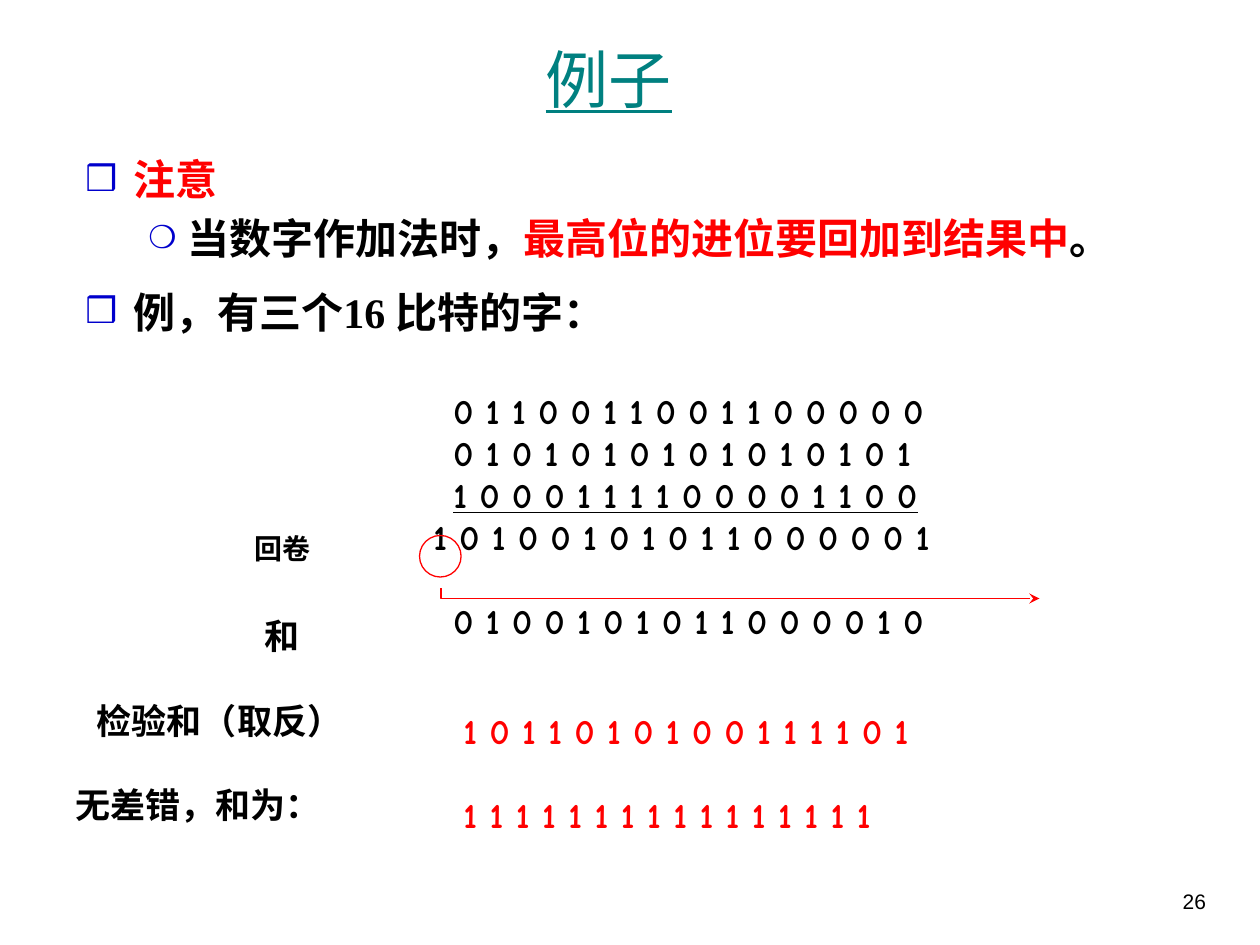
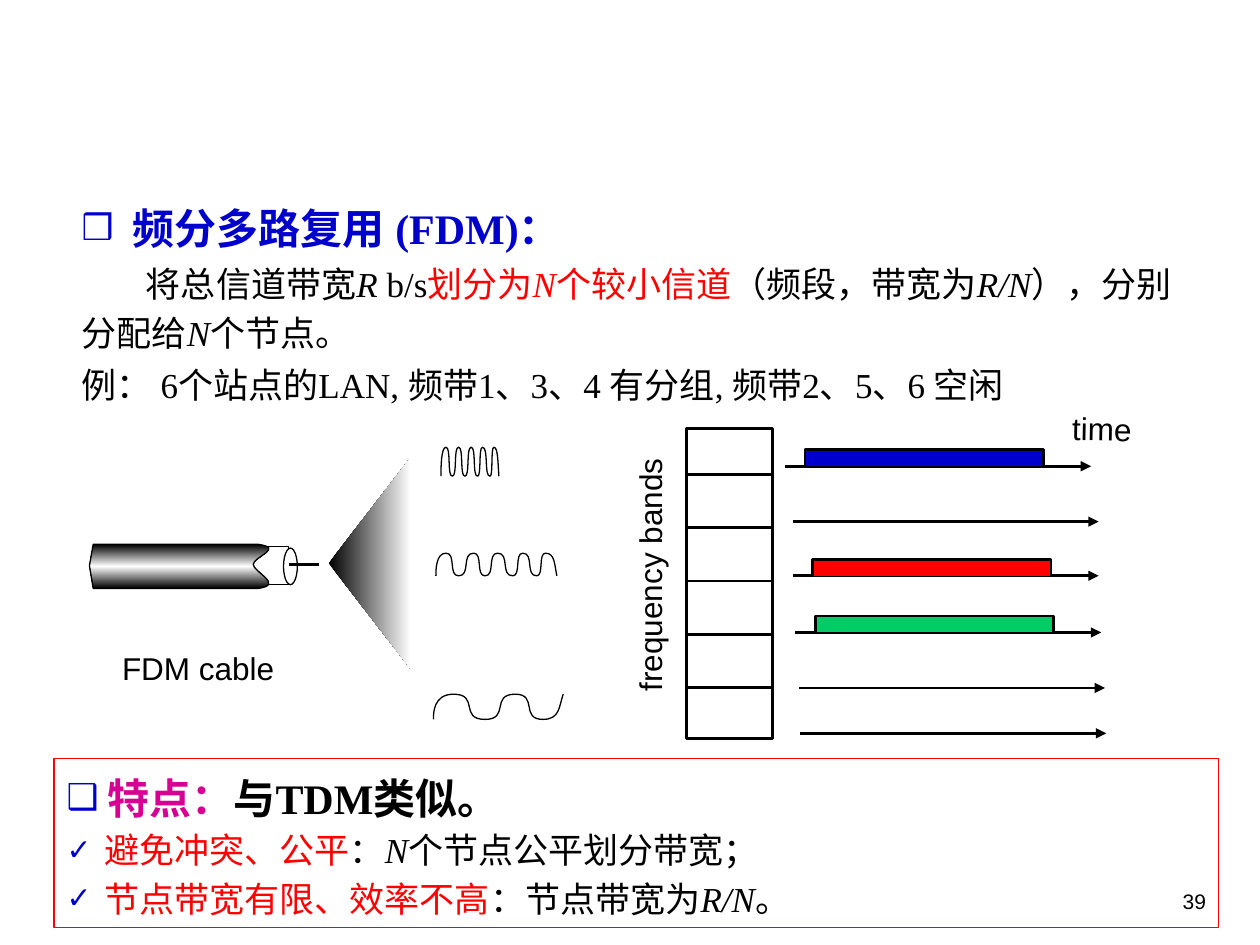
"""Builds two networking slides: checksum addition and frequency division."""
from dataclasses import dataclass
from typing import NamedTuple, Optional

from lxml import etree
from pptx import Presentation
from pptx import util as u
from pptx.dml.color import RGBColor
from pptx.enum import shapes, text
from pptx.oxml.ns import qn

COLOURS = {
    "ink": "000000", "paper": "FFFFFF", "title": "008080", "blue": "0000CC",
    "red": "FF0000", "green": "00CC66", "magenta": "D60093",
}
SERIF, SANS, COMIC, HAN = "Times New Roman", "Arial", "Comic Neue", "Noto Sans CJK SC"

deck = Presentation()
deck.slide_width, deck.slide_height = u.Inches(10), u.Inches(7.5)
CELL = deck.slide_width / 100


class Run(NamedTuple):
    words: str
    colour: str = "ink"
    italic: bool = False
    font: Optional[str] = None
    han: str = COMIC


class Area(NamedTuple):
    left: float
    top: float
    width: float
    height: float


@dataclass(frozen=True)
class Para:
    runs: tuple[Run, ...]
    size: float = 20
    font: str = COMIC
    bold: bool = False
    underline: bool = False
    margin: float = 0
    indent: float = 0
    before: float = 0
    lines: float = 1
    bullet: str = ""
    bullet_size: int = 85
    tabs: tuple[float, ...] = ()
    align: text.PP_ALIGN = text.PP_ALIGN.LEFT


@dataclass(frozen=True)
class Label:
    words: str
    area: Area
    size: float = 20
    font: str = COMIC
    bold: bool = True
    colour: str = "ink"
    wrap: bool = False
    turn: float = 0


class Lane(NamedTuple):
    left: float
    base: float
    packet: str = ""


class Wave(NamedTuple):
    crest: float
    trough: float
    knots: tuple[float, ...]


Point = tuple[float, float]


def grid(cells: float) -> u.Emu:
    """Turn grid cells into a length."""
    return u.Emu(round(cells * CELL))


def rgb(name: str) -> RGBColor:
    """Look up a named colour."""
    return RGBColor.from_string(COLOURS[name])


def add_bullet_and_tabs(paragraph, para: Para) -> None:
    """Put a blue bullet sign and tab stops on a paragraph."""
    props = paragraph._p.get_or_add_pPr()
    if para.bullet:
        colour = etree.SubElement(props, qn("a:buClr"))
        etree.SubElement(colour, qn("a:srgbClr"), val=COLOURS["blue"])
        etree.SubElement(props, qn("a:buSzPct"), val=str(para.bullet_size * 1000))
        etree.SubElement(props, qn("a:buFont"), typeface=SANS)
        etree.SubElement(props, qn("a:buChar"), char=para.bullet)
    if para.tabs:
        stops = etree.SubElement(props, qn("a:tabLst"))
        for stop in para.tabs:
            etree.SubElement(stops, qn("a:tab"), pos=str(grid(stop)), algn="l")


def write(frame, paras: list[Para]) -> None:
    """Fill a text frame run by run."""
    for number, para in enumerate(paras):
        paragraph = frame.add_paragraph() if number else frame.paragraphs[0]
        props = paragraph._p.get_or_add_pPr()
        props.set("marL", str(grid(para.margin)))
        props.set("indent", str(grid(para.indent)))
        add_bullet_and_tabs(paragraph, para)
        paragraph.alignment = para.align
        paragraph.line_spacing = para.lines
        paragraph.space_before = u.Pt(para.before if number else 0)
        for piece in para.runs:
            run = paragraph.add_run()
            run.text = piece.words
            font = run.font
            font.name, font.size = piece.font or para.font, u.Pt(para.size)
            font.bold, font.italic, font.underline = para.bold, piece.italic, para.underline
            font.color.rgb = rgb(piece.colour)
            east_asian = etree.Element(qn("a:ea"), typeface=piece.han)
            run._r.rPr.find(qn("a:latin")).addnext(east_asian)


def add_text(slide, area: Area, paras: list[Para], wrap: bool = True,
             anchor: text.MSO_ANCHOR = text.MSO_ANCHOR.TOP):
    """Add a text box on the grid."""
    box = slide.shapes.add_textbox(*map(grid, area))
    frame = box.text_frame
    frame.word_wrap, frame.vertical_anchor = wrap, anchor
    if not wrap:
        frame.auto_size = text.MSO_AUTO_SIZE.SHAPE_TO_FIT_TEXT
    write(frame, paras)
    return box


def add_label(slide, label: Label) -> None:
    """Add a one-line label."""
    para = Para((Run(label.words, label.colour),), label.size, label.font, label.bold)
    add_text(slide, label.area, [para], label.wrap).rotation = label.turn


def finish(shape, fill: str = "", line: str = "ink", weight: float = 0.75):
    """Set the fill and line of a shape; an empty name means none."""
    shape.shadow.inherit = False
    for part, colour in ((shape.fill, fill), (shape.line.fill, line)):
        if colour:
            part.solid()
            part.fore_color.rgb = rgb(colour)
        else:
            part.background()
    if line:
        shape.line.width = u.Pt(weight)
    return shape


def add_preset(slide, kind: shapes.MSO_SHAPE, area: Area, **style):
    """Add a preset shape on the grid."""
    return finish(slide.shapes.add_shape(kind, *map(grid, area)), **style)


def add_outline(slide, points: list[Point], close: bool = False, **style):
    """Add a freeform through grid points."""
    start, *rest = [(grid(x), grid(y)) for x, y in points]
    builder = slide.shapes.build_freeform(*start)
    builder.add_line_segments(rest, close=close)
    return finish(builder.convert_to_shape(), **style)


def bend(shape, straight: int = 0) -> None:
    """Turn each three segments after the straight ones into one cubic curve."""
    segments = list(shape._element.spPr.iter(qn("a:lnTo")))[straight:]
    for first in range(0, len(segments), 3):
        cubic = etree.Element(qn("a:cubicBezTo"))
        segments[first].addprevious(cubic)
        for segment in segments[first:first + 3]:
            cubic.append(segment[0])
            segment.getparent().remove(segment)


def add_arrowhead(shape, kind: str) -> None:
    """Put an arrowhead at the end of a line."""
    etree.SubElement(shape.line._get_or_add_ln(), qn("a:tailEnd"), type=kind)


def add_line(slide, start: Point, end: Point, weight: float = 1.5, head: str = "") -> None:
    """Add a straight black connector."""
    line = slide.shapes.add_connector(shapes.MSO_CONNECTOR.STRAIGHT, *map(grid, start + end))
    line.line.color.rgb, line.line.width = rgb("ink"), u.Pt(weight)
    if head:
        add_arrowhead(line, head)
    etree.SubElement(line._element.spPr, qn("a:effectLst"))


def shade(shape, stops: list[tuple[int, str]], angle: int) -> None:
    """Give a shape a linear gradient."""
    shape.fill.gradient()
    shape.fill.gradient_angle = angle
    stop_list = shape._element.spPr.find(qn("a:gradFill")).find(qn("a:gsLst"))
    for old in list(stop_list):
        stop_list.remove(old)
    for share, colour in stops:
        stop = etree.SubElement(stop_list, qn("a:gs"), pos=str(share * 1000))
        etree.SubElement(stop, qn("a:srgbClr"), val=COLOURS[colour])


def add_wave(slide, wave: Wave) -> None:
    """Draw a wave that swings between trough and crest at its knots."""
    levels = (wave.trough, wave.crest)
    points = [(wave.knots[0], wave.trough)]
    last = len(wave.knots) - 2
    for number, (x, following) in enumerate(zip(wave.knots, wave.knots[1:])):
        here, there = levels[number % 2], levels[(number + 1) % 2]
        reach = 0.83 * (following - x)
        leave, arrive = (x + reach, here), (following - reach, there)
        if number == 0:
            leave, arrive = (x, here + (there - here) / 4), (x, there)
        elif number == last:
            arrive = (following - reach / 4, (here + there) / 2)
        points += [leave, arrive, (following, there)]
    bend(add_outline(slide, points))


def new_slide(number: int):
    """Start a blank slide with its page number."""
    slide = deck.slides.add_slide(deck.slide_layouts[6])
    add_text(slide, Area(89.3, 70, 7.4, 5),
             [Para((Run(str(number)),), 12, SANS, align=text.PP_ALIGN.RIGHT)])
    return slide


def build_checksum() -> None:
    """Build the checksum example."""
    slide = new_slide(26)
    add_text(slide, Area(5.8, 2.5, 85, 7.5),
             [Para((Run("例子", "title"),), 36, SERIF, underline=True,
                   align=text.PP_ALIGN.CENTER)], anchor=text.MSO_ANCHOR.MIDDLE)
    point = dict(size=24, font=HAN, bold=True, before=4.8)
    top_level = dict(point, bullet="❒", margin=3.8, indent=-3.8)
    add_text(slide, Area(5.8, 11.7, 85, 36.7), [
        Para((Run("注意", "red"),), **top_level),
        Para((Run("当数字作加法时，"), Run("最高位的进位要回加到结果中", "red"), Run("。")),
             **point, bullet="❍", bullet_size=75, margin=8.1, indent=-3.1),
        Para((Run("例，有三个"), Run("16 比特", font=SERIF), Run("的字：")),
             **top_level, lines=1.3),
    ])
    row_height = 24
    sums = [
        ("\t0 1 1 0 0 1 1 0 0 1 1 0 0 0 0 0", False, 0),
        ("\t0 1 0 1 0 1 0 1 0 1 0 1 0 1 0 1", False, 0),
        ("\t1 0 0 0 1 1 1 1 0 0 0 0 1 1 0 0\t\t\t", True, 0),
        ("1 0 1 0 0 1 0 1 0 1 1 0 0 0 0 0 1", False, 0),
        ("\t0 1 0 0 1 0 1 0 1 1 0 0 0 0 1 0", False, row_height),
    ]
    add_text(slide, Area(30, 30.4, 54.9, 27.7), [
        Para((Run(bits),), bold=True, underline=ruled, indent=3.4, before=gap,
             tabs=(5.4, 9.9, 52)) for bits, ruled, gap in sums])
    add_preset(slide, shapes.MSO_SHAPE.OVAL, Area(33.3, 42.5, 3.3, 3.3), line="red")
    carry = add_outline(slide, [(35, 46.7), (35, 47.5), (82.5, 47.5)], line="red")
    add_arrowhead(carry, "stealth")
    for label in (
        Label("回卷", Area(19.2, 41.7, 7.5, 3.7), 16),
        Label("和", Area(20, 48.3, 4.8, 4.3)),
        Label("检验和（取反）", Area(6.7, 55, 21.8, 4.4)),
        Label("无差错，和为：", Area(5, 61.7, 22.5, 4.3), font=HAN, wrap=True),
        Label("1 0 1 1 0 1 0 1 0 0 1 1 1 1 0 1", Area(35.8, 55.8, 48.3, 4.3),
              colour="red", wrap=True),
        Label("1 1 1 1 1 1 1 1 1 1 1 1 1 1 1 1", Area(35.8, 62.5, 48.3, 4.3),
              colour="red", wrap=True),
    ):
        add_label(slide, label)


def draw_bands(slide) -> None:
    """Draw the frequency bands with their time lanes."""
    left, right = 54.5, 61.3
    add_preset(slide, shapes.MSO_SHAPE.RECTANGLE, Area(left, 34, right - left, 24.6),
               fill="paper", weight=1.5)
    for number in range(5):
        level = 37.65 + 4.23 * number
        add_line(slide, (left, level), (right, level))
    for lane in (Lane(62.3, 37, "blue"), Lane(62.9, 41.4), Lane(62.9, 45.7, "red"),
                 Lane(63.1, 50.2, "green"), Lane(63.4, 54.6), Lane(63.5, 58.2)):
        add_line(slide, (lane.left, lane.base), (lane.left + 24.3, lane.base), head="triangle")
        if lane.packet:
            start, end, roof = lane.left + 1.6, lane.left + 20.5, lane.base - 1.3
            add_outline(slide, [(start, lane.base), (start, roof), (end, roof),
                                (end, lane.base)], fill=lane.packet, weight=1.5)


def draw_cable(slide) -> None:
    """Draw the cable, its fan of light and the three waves."""
    fan = add_outline(slide, [(32.6, 36.3), (26.1, 44.7), (32.6, 53.1)], close=True, line="")
    shade(fan, [(0, "ink"), (100, "paper")], 0)
    add_preset(slide, shapes.MSO_SHAPE.RECTANGLE, Area(20, 43.4, 2.9, 3), fill="paper")
    notch = [(22.6, 46.4), (20.1, 45.4), (20.1, 44.8), (20.1, 44.2), (22.6, 43.5), (20.5, 43.2)]
    sheath = add_outline(slide, [(7.4, 43.2), (7.1, 44.9), (7.4, 46.7), (20.5, 46.7), *notch],
                         close=True)
    bend(sheath, straight=3)
    shade(sheath, [(0, "ink"), (50, "paper"), (100, "ink")], 90)
    add_preset(slide, shapes.MSO_SHAPE.OVAL, Area(22.5, 43.5, 1.1, 2.9), fill="paper")
    add_line(slide, (22.9, 44.8), (25.3, 44.8), 2.25)
    for wave in (
        Wave(43.9, 45.7, (34.6, 35.4, 36.4, 37.6, 38.5, 39.5, 40.7, 41.5, 42.6, 43.3, 44.2)),
        Wave(35.5, 37.8, (35, 35.4, 35.9, 36.4, 36.9, 37.4, 37.9, 38.3, 38.9, 39.2, 39.6)),
        Wave(55.1, 57.1, (34.4, 36, 38.5, 40.9, 43.1, 44.7)),
    ):
        add_wave(slide, wave)


def build_fdm() -> None:
    """Build the frequency division slide."""
    slide = new_slide(39)
    body = dict(font=SERIF, lines=1.15)
    heading = dict(body, size=24, bold=True)
    add_text(slide, Area(5.5, 15, 89.9, 18.1), [
        Para((Run("频分多路复用", "blue"), Run(" ", "blue", han=SERIF), Run("(FDM)：", "blue")),
             **heading, bullet="❒", margin=4.05, indent=-4.05),
        Para((Run("将总信道带宽"), Run("R", italic=True), Run(" b/s"), Run("划分为", "red"),
              Run("N", "red", True), Run("个较小信道", "red"), Run("（频段，带宽为"),
              Run("R/N", italic=True), Run("），分别分配给"), Run("N", italic=True),
              Run("个节点。")), **body, indent=5.1, before=2),
        Para((Run("例："), Run(" ", han=SERIF),
              Run("6个站点的LAN, 频带1、3、4 有分组, 频带2、5、6 空闲")), **body, before=2),
    ])
    traits = add_preset(slide, shapes.MSO_SHAPE.RECTANGLE, Area(4.3, 60.2, 92.4, 13.4),
                        line="red")
    traits.text_frame.word_wrap = True
    traits.text_frame.vertical_anchor = text.MSO_ANCHOR.TOP
    ticked = dict(body, bullet="✓", margin=3, indent=-3)
    write(traits.text_frame, [
        Para((Run("特点：", "magenta"), Run("与TDM类似。")), **heading,
             bullet="❑", margin=3.25, indent=-3.25),
        Para((Run("避免冲突、公平", "red"), Run("："), Run("N", italic=True),
              Run("个节点公平划分带宽；")), **ticked),
        Para((Run("节点带宽有限、效率不高", "red"), Run("：节点带宽为"),
              Run("R/N", italic=True), Run("。")), **ticked),
    ])
    draw_bands(slide)
    draw_cable(slide)
    for words, area, turn in (("frequency bands", Area(41.3, 43.6, 20.5, 4), 270),
                              ("time", Area(84.1, 32, 6.7, 4), 1.1),
                              ("FDM cable", Area(8.7, 51, 14.1, 4), 0)):
        add_label(slide, Label(words, area, 18, SANS, bold=False, turn=turn))


def main() -> None:
    """Build and save the deck."""
    build_checksum()
    build_fdm()
    deck.save("out.pptx")


if __name__ == "__main__":
    main()
